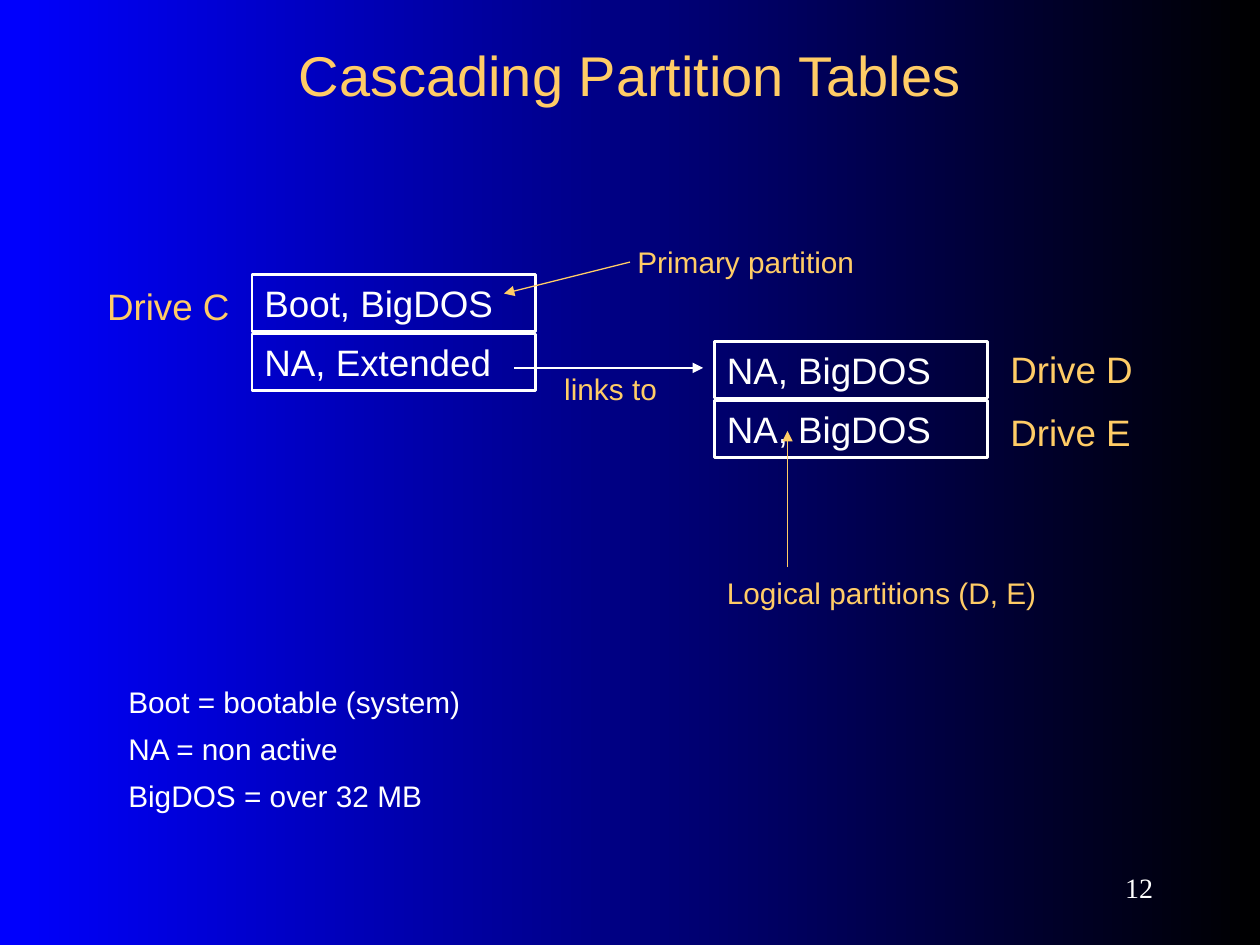
from dataclasses import dataclass

import pptx
import pptx.dml.color
import pptx.enum.shapes
import pptx.enum.text
import pptx.oxml
import pptx.oxml.ns
import pptx.util

Inches = pptx.util.Inches
Pt = pptx.util.Pt
Color = pptx.dml.color.RGBColor
Align = pptx.enum.text.PP_ALIGN
Anchor = pptx.enum.text.MSO_ANCHOR
Fit = pptx.enum.text.MSO_AUTO_SIZE


@dataclass(frozen=True)
class Theme:
    """Colours, fonts and type sizes of the slide."""
    gold: Color = Color(0xFF, 0xCC, 0x66)
    white: Color = Color(0xFF, 0xFF, 0xFF)
    black: Color = Color(0, 0, 0)
    blue: Color = Color(0, 0, 0xFF)
    font: str = "Arial"
    number_font: str = "Times New Roman"
    title: Pt = Pt(32)
    entry: Pt = Pt(21)
    note: Pt = Pt(17)
    number: Pt = Pt(16)
    border: Pt = Pt(1.5)
    arrow: Pt = Pt(0.75)


THEME = Theme()


def set_values(target, values):
    """Set every named attribute of the target."""
    for name, value in values.items():
        setattr(target, name, value)


def write_text(shape, lines, size, color, align=Align.LEFT, anchor=Anchor.TOP,
               inset=0.05, fit=Fit.SHAPE_TO_FIT_TEXT, font=THEME.font, spacing=None):
    """Fill a shape with formatted paragraphs."""
    frame = shape.text_frame
    set_values(frame, {
        "text": "\n".join(lines), "word_wrap": True, "auto_size": fit,
        "vertical_anchor": anchor,
        "margin_left": Inches(0.1), "margin_right": Inches(0.1),
        "margin_top": Inches(inset), "margin_bottom": Inches(inset),
    })
    for index, para in enumerate(frame.paragraphs):
        set_values(para, {"alignment": align, "line_spacing": spacing,
                          "space_before": Pt(10.6 if index else 0)})
        set_values(para.font, {"size": size, "name": font})
        para.font.color.rgb = color


def add_background(page):
    """Shade the page from blue on the left to black on the right."""
    fill = page.background.fill
    fill.gradient()
    fill.gradient_angle = 180
    for stop, color in zip(fill.gradient_stops, (THEME.black, THEME.blue)):
        stop.color.rgb = color


def add_title(page, left, top, width, height, text):
    """Move and format the title placeholder."""
    title = page.shapes.title
    set_values(title, {"left": Inches(left), "top": Inches(top),
                       "width": Inches(width), "height": Inches(height)})
    write_text(title, [text], THEME.title, THEME.gold, Align.CENTER,
               Anchor.MIDDLE, fit=Fit.NONE)


def add_partition_table(page, left, top, width, entries):
    """Stack one outlined box for each partition entry."""
    row_height, pitch = 0.45, 0.47
    for row, entry in enumerate(entries):
        box = page.shapes.add_shape(
            pptx.enum.shapes.MSO_SHAPE.RECTANGLE, Inches(left),
            Inches(top + row * pitch), Inches(width), Inches(row_height))
        box.shadow.inherit = False
        box.fill.background()
        box.line.color.rgb = THEME.white
        box.line.width = THEME.border
        write_text(box, [entry], THEME.entry, THEME.white)


def add_label(page, left, top, width, height, lines, size=THEME.note,
              color=THEME.gold, inset=0.15, **style):
    """Add a text box with the given lines."""
    box = page.shapes.add_textbox(Inches(left), Inches(top), Inches(width), Inches(height))
    write_text(box, lines, size, color, inset=inset, **style)


def add_arrow(page, start, end, color):
    """Draw a thin arrow from start to end."""
    arrow = page.shapes.add_connector(
        pptx.enum.shapes.MSO_CONNECTOR.STRAIGHT,
        *(Inches(value) for value in (*start, *end)))
    arrow.line.color.rgb = color
    arrow.line.width = THEME.arrow
    namespace = pptx.oxml.ns.nsdecls("a")
    arrow.line._get_or_add_ln().append(
        pptx.oxml.parse_xml(f'<a:tailEnd {namespace} type="triangle"/>'))
    arrow._element.spPr.append(pptx.oxml.parse_xml(f"<a:effectLst {namespace}/>"))


def add_drive_labels(page):
    """Name the drive beside each partition."""
    for left, top, width, name, align in (
            (0.5, 2.1, 1.42, "Drive C", Align.RIGHT),
            (7.92, 2.6, 1.83, "Drive D", Align.LEFT),
            (7.92, 3.1, 1.83, "Drive E", Align.LEFT)):
        add_label(page, left, top, width, 0.65, [name], THEME.entry, align=align)


def add_callouts(page):
    """Add the notes and the arrows that belong to them."""
    for left, top, width, text, start, end, color in (
            (4.96, 1.79, 2.29, "Primary partition", (5, 2.08), (4, 2.33), THEME.gold),
            (4.38, 2.8, 1.33, "links to", (4.08, 2.92), (5.58, 2.92), THEME.white),
            (5.67, 4.42, 3.33, "Logical partitions (D, E)", (6.25, 4.5), (6.25, 3.42),
             THEME.gold)):
        add_label(page, left, top, width, 0.58, [text])
        add_arrow(page, start, end, color)


def main():
    """Build and save the slide."""
    deck = pptx.Presentation()
    set_values(deck, {"slide_width": Inches(10), "slide_height": Inches(7.5)})
    page = deck.slides.add_slide(deck.slide_layouts[5])
    add_background(page)
    add_title(page, 0.75, 0.25, 8.5, 0.67, "Cascading Partition Tables")
    add_partition_table(page, 2, 2.18, 2.25, ["Boot, BigDOS", "NA, Extended"])
    add_partition_table(page, 5.67, 2.71, 2.17, ["NA, BigDOS", "NA, BigDOS"])
    add_drive_labels(page)
    add_callouts(page)
    add_label(page, 0.92, 5.33, 3.67, 1.28,
              ["Boot = bootable (system)", "NA = non active", "BigDOS = over 32 MB"],
              color=THEME.white, spacing=0.8)
    add_label(page, 8.17, 6.83, 1.08, 0.42, ["12"], THEME.number, THEME.white,
              inset=0.05, align=Align.RIGHT, anchor=Anchor.MIDDLE, fit=Fit.NONE,
              font=THEME.number_font)
    deck.save("out.pptx")


if __name__ == "__main__":
    main()
